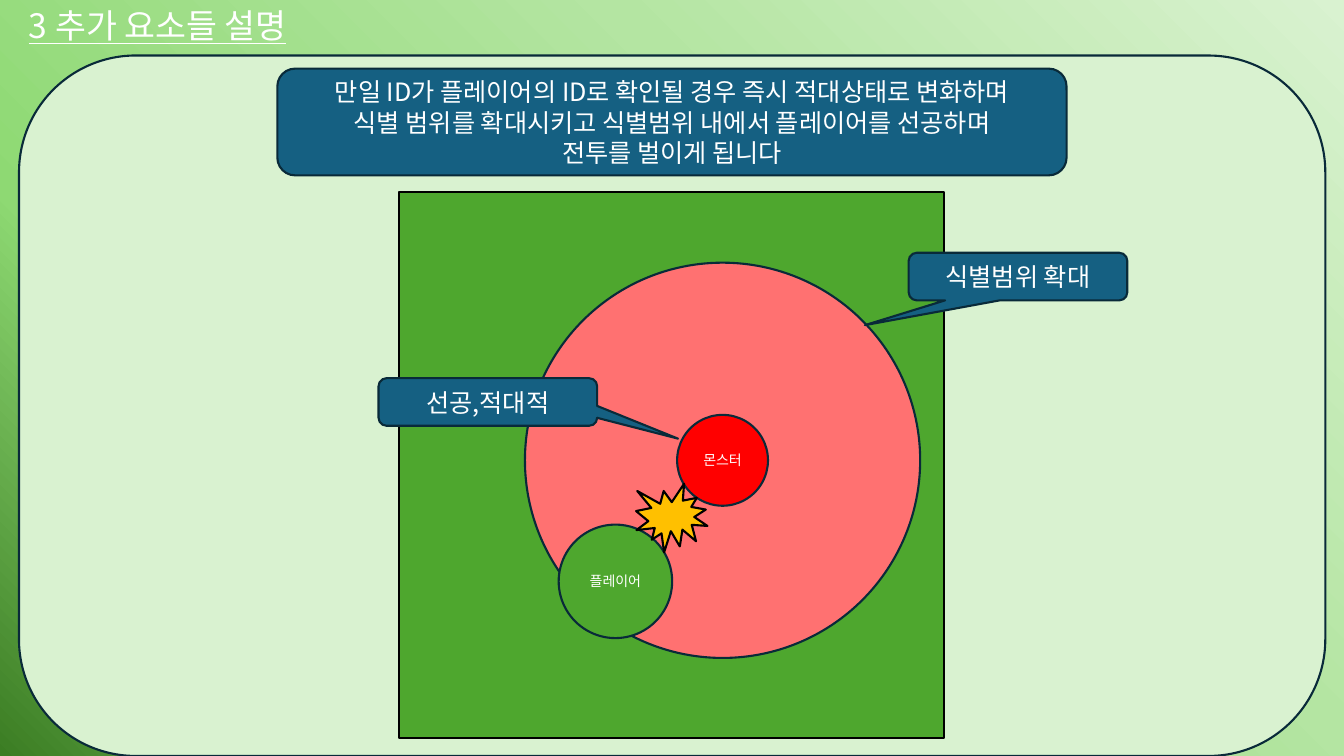
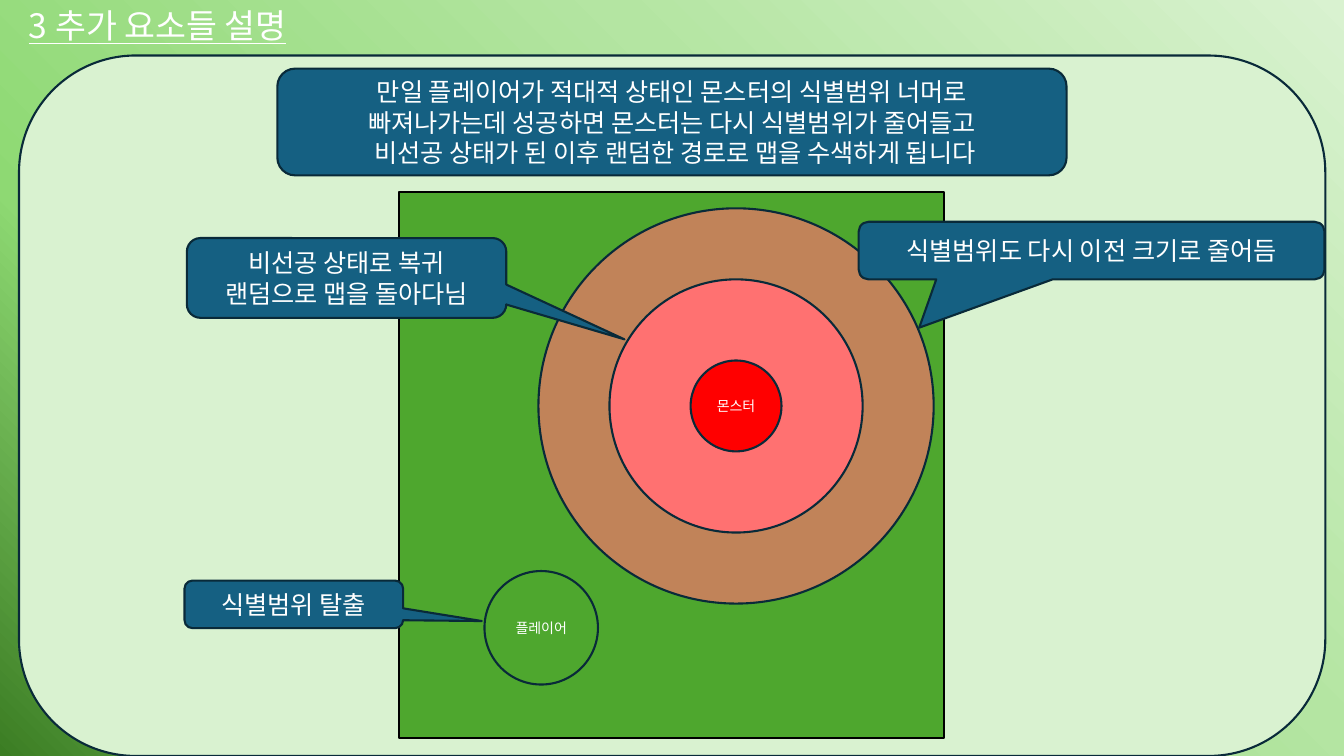
"""Build two slides on how a monster's detection range reacts to the player."""
import lxml.etree
import pptx
import pptx.dml.color
import pptx.enum.shapes
import pptx.enum.text
import pptx.oxml.ns
import pptx.util

Cm = pptx.util.Cm
Pt = pptx.util.Pt
SHAPE = pptx.enum.shapes.MSO_SHAPE
ALIGN = pptx.enum.text.PP_ALIGN
qn = pptx.oxml.ns.qn
rgb = pptx.dml.color.RGBColor.from_string

FONT = "Noto Sans CJK KR"
WHITE, BLACK, NAVY, BLUE = "FFFFFF", "000000", "092A39", "156082"
PALE, GREEN, PINK, RED, GOLD = "D9F2D0", "4EA72E", "FF7171", "FF0000", "FFC000"
BACKDROP = [(0, "3B7D23"), (27, "8ED973"), (65, "B4E5A2"), (100, PALE)]
TITLE = "3 추가 요소들 설명"
RANGE_WIDE, RANGE_NARROW, MONSTER, PLAYER = 9.96, 6.38, 2.29, 2.86


def write_text(shape, text, size=18, align=ALIGN.CENTER, underline=None,
               anchor=pptx.enum.text.MSO_ANCHOR.MIDDLE):
    frame = shape.text_frame
    frame.word_wrap = True
    frame.vertical_anchor = anchor
    for index, line in enumerate(text.split("\n")):
        para = frame.paragraphs[0] if index == 0 else frame.add_paragraph()
        para.alignment = align
        span = para.add_run()
        span.text = line
        span.font.size = Pt(size)
        span.font.underline = underline
        span.font.color.rgb = rgb(WHITE)
        span.font.name = FONT
        properties = span.font._element
        lxml.etree.SubElement(properties, qn("a:ea"), typeface=FONT)


def draw_shape(page, kind, place, fill, line=NAVY, opacity=100, adjust=(), text="", size=18):
    shape = page.shapes.add_shape(kind, *map(Cm, place))
    shape.shadow.inherit = False
    shape.fill.solid()
    shape.fill.fore_color.rgb = rgb(fill)
    shape.line.color.rgb = rgb(line)
    shape.line.width = Pt(1.5)
    for index, value in enumerate(adjust):
        shape.adjustments[index] = value
    if opacity < 100:
        colour = shape.element.spPr.find(qn("a:solidFill")).find(qn("a:srgbClr"))
        lxml.etree.SubElement(colour, qn("a:alpha"), val=str(opacity * 1000))
    if text:
        write_text(shape, text, size=size)


deck = pptx.Presentation()
deck.slide_width, deck.slide_height = Cm(33.87), Cm(19.05)

backdrop = deck.slide_master.background.fill
backdrop.gradient()
backdrop.gradient_angle = 45
stops = deck.slide_master.element.find(".//" + qn("p:bgPr")).find(".//" + qn("a:gsLst"))
for stop in list(stops):
    stops.remove(stop)
for position, colour in BACKDROP:
    stop = lxml.etree.SubElement(stops, qn("a:gs"), pos=str(position * 1000))
    lxml.etree.SubElement(stop, qn("a:srgbClr"), val=colour)

scenes = [
    {
        "banner": "만일 ID가 플레이어의 ID로 확인될 경우 즉시 적대상태로 변화하며\n"
                  "식별 범위를 확대시키고 식별범위 내에서 플레이어를 선공하며\n"
                  "전투를 벌이게 됩니다",
        "monster": (18.21, 11.6),
        "player": (15.51, 14.65),
        "ranges": [(RANGE_WIDE, 100)],
        "callouts": [
            ("선공,적대적", (9.54, 9.53, 5.51, 1.2), (0.87, 0.77)),
            ("식별범위 확대", (22.9, 6.37, 5.51, 1.2), (-0.7, 1.02)),
        ],
        "clash": (16.03, 12.19, 1.8, 1.73),
    },
    {
        "banner": "만일 플레이어가 적대적 상태인 몬스터의 식별범위 너머로\n"
                  "빠져나가는데 성공하면 몬스터는 다시 식별범위가 줄어들고\n"
                  " 비선공 상태가 된 이후 랜덤한 경로로 맵을 수색하게 됩니다",
        "monster": (18.55, 10.23),
        "player": (13.64, 15.82),
        "ranges": [(RANGE_WIDE, 65), (RANGE_NARROW, 100)],
        "callouts": [
            ("비선공 상태로 복귀\n랜덤으로 맵을 돌아다님", (4.71, 6, 8.05, 2.01), (0.87, 0.77)),
            ("식별범위 탈출", (4.65, 14.63, 5.51, 1.2), (0.86, 0.35)),
            ("식별범위도 다시 이전 크기로 줄어듬", (21.64, 5.59, 11.74, 1.45), (-0.37, 1.34)),
        ],
        "clash": None,
    },
]

for scene in scenes:
    page = deck.slides.add_slide(deck.slide_layouts[6])
    draw_shape(page, SHAPE.ROUNDED_RECTANGLE, (0.48, 1.4, 32.92, 17.65), PALE)
    draw_shape(page, SHAPE.ROUNDED_RECTANGLE, (6.99, 1.73, 19.89, 2.69), BLUE,
               text=scene["banner"])
    title = page.shapes.add_textbox(Cm(0.48), Cm(0), Cm(14.5), Cm(1.27))
    write_text(title, TITLE, size=24, align=ALIGN.LEFT, underline=True,
               anchor=pptx.enum.text.MSO_ANCHOR.TOP)
    draw_shape(page, SHAPE.RECTANGLE, (10.06, 4.85, 13.74, 13.74), GREEN, line=BLACK)

    circles = [(scene["monster"], diameter, PINK, opacity, "")
               for diameter, opacity in scene["ranges"]]
    circles.append((scene["monster"], MONSTER, RED, 100, "몬스터"))
    circles.append((scene["player"], PLAYER, GREEN, 100, "플레이어"))
    for (x, y), diameter, fill, opacity, label in circles:
        place = (x - diameter / 2, y - diameter / 2, diameter, diameter)
        draw_shape(page, SHAPE.OVAL, place, fill, opacity=opacity, text=label, size=10)

    for label, place, tip in scene["callouts"]:
        draw_shape(page, SHAPE.ROUNDED_RECTANGULAR_CALLOUT, place, BLUE,
                   adjust=(*tip, 0.17), text=label)
    if scene["clash"]:
        draw_shape(page, SHAPE.EXPLOSION1, scene["clash"], GOLD, line=BLACK)

deck.save("out.pptx")
